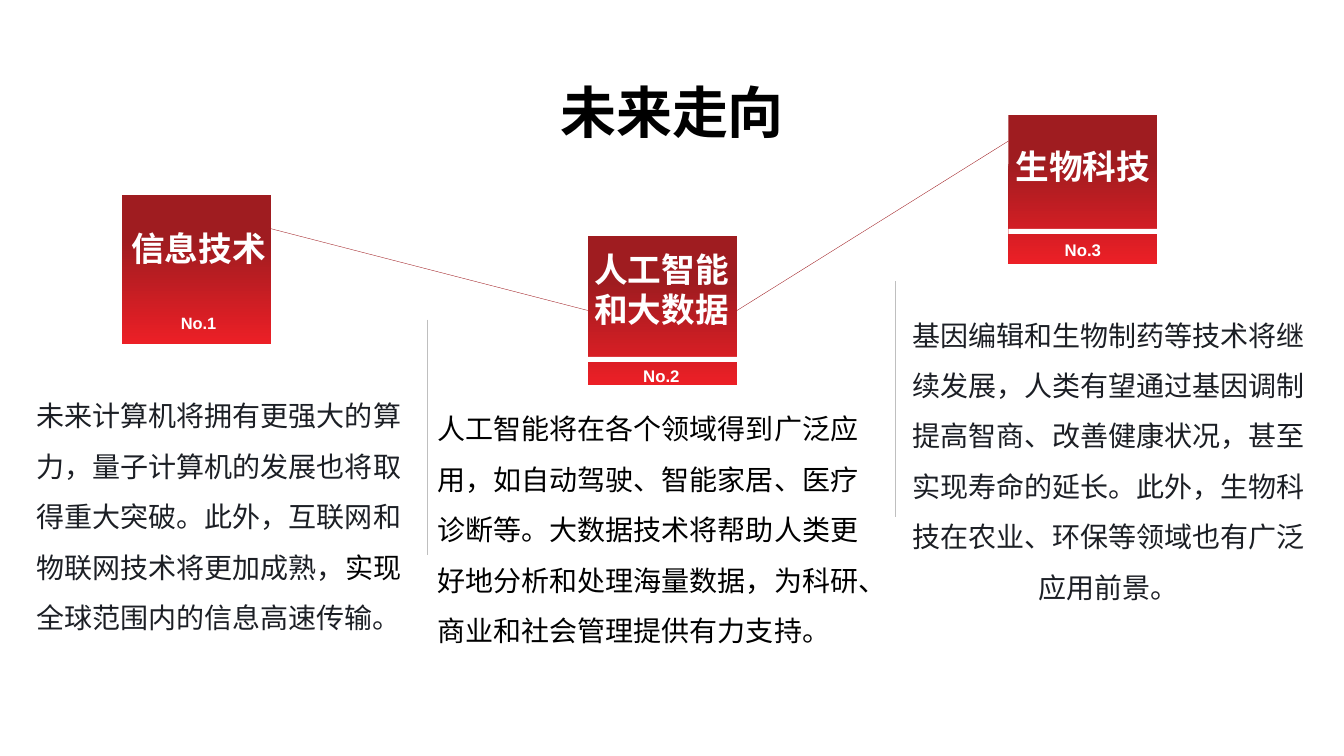
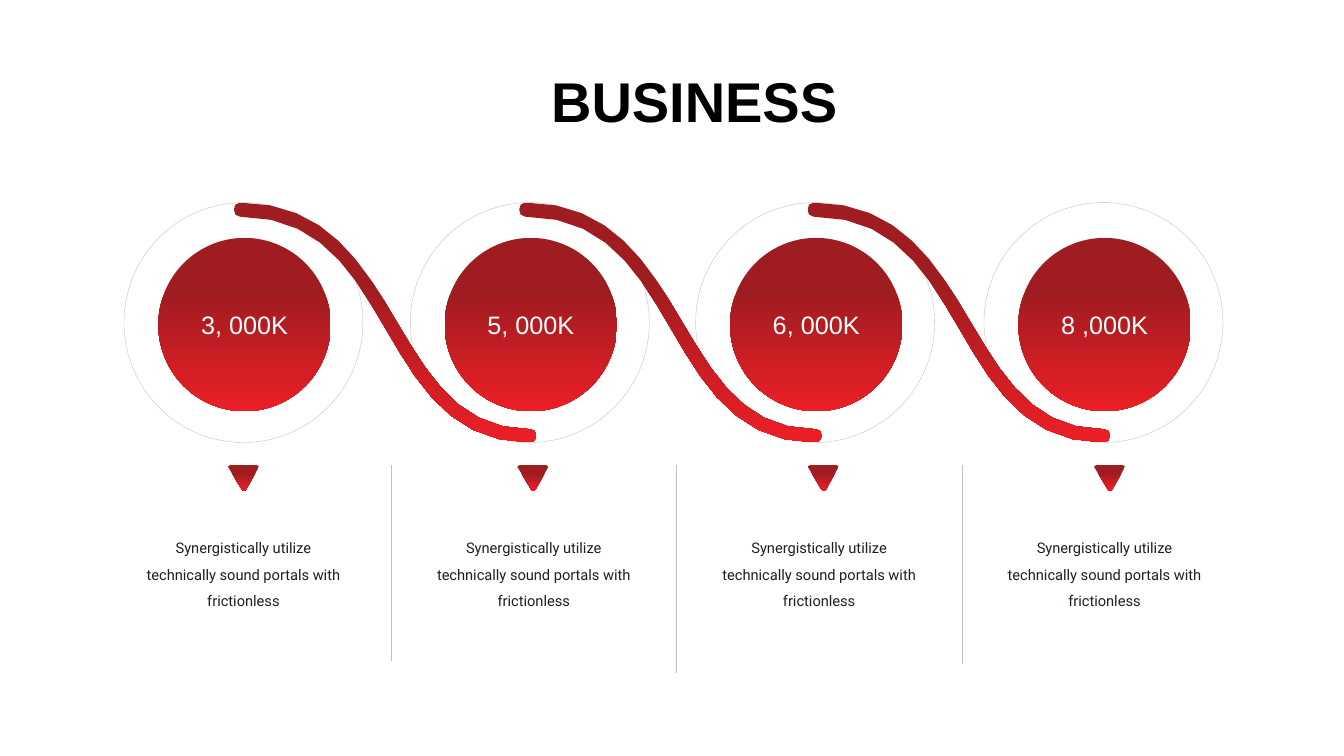
import math

import pptx
import pptx.dml.color
import pptx.enum.shapes
import pptx.enum.text
import pptx.oxml
import pptx.oxml.ns
import pptx.util

Inches = pptx.util.Inches
Pt = pptx.util.Pt
SHAPE = pptx.enum.shapes.MSO_SHAPE
ALIGN = pptx.enum.text.PP_ALIGN
ANCHOR = pptx.enum.text.MSO_ANCHOR
AUTO = pptx.enum.text.MSO_AUTO_SIZE

DARK_RED, RED = "9F1C20", "EC1F26"
WHITE, BLACK, INK, GREY = "FFFFFF", "000000", "1C1F25", "BFBFBF"
HEAD, BODY = "Arial", "Roboto"


def rgb(value):
    return pptx.dml.color.RGBColor.from_string(value)


def write(tf, text, size=18, color=WHITE, font=HEAD, bold=False,
          align=ALIGN.CENTER, spacing=None):
    """Text is a string, one paragraph a line, or a list of (text, colour) runs."""
    if isinstance(text, str):
        paragraphs = [[(line, color)] for line in text.split("\n")]
    else:
        paragraphs = [text]
    for i, runs in enumerate(paragraphs):
        p = tf.add_paragraph() if i else tf.paragraphs[0]
        p.alignment = align
        if spacing:
            p.line_spacing = spacing
        for words, run_color in runs:
            r = p.add_run()
            r.text = words
            r.font.name = font
            r.font.size = Pt(size)
            r.font.bold = bold
            r.font.color.rgb = rgb(run_color)


def flatten(start, curves):
    """Points along a chain of cubic curves, more of them on longer curves."""
    points = [start]
    for b, c, d in curves:
        a = points[-1]
        steps = max(2, round(4 * math.dist(a, d)))
        for i in range(1, steps + 1):
            t = i / steps
            u = 1 - t
            points.append(tuple(
                u**3 * a[k] + 3 * u * u * t * b[k] + 3 * u * t * t * c[k] + t**3 * d[k]
                for k in (0, 1)))
    return points


class Deck:
    def __init__(self):
        self.prs = pptx.Presentation()
        self.prs.slide_width = Inches(13.33)
        self.prs.slide_height = Inches(7.5)
        self.s = None

    def slide(self):
        self.s = self.prs.slides.add_slide(self.prs.slide_layouts[6])

    def red(self, sp):
        sp.fill.gradient()
        sp.fill.gradient_angle = 270
        for stop, position, color in zip(sp.fill.gradient_stops, (0.31, 1), (DARK_RED, RED)):
            stop.position = position
            stop.color.rgb = rgb(color)

    def shape(self, kind, x, y, w, h, fill=None, line=None):
        """A preset shape; without a fill or line colour it gets the red blend."""
        sp = self.s.shapes.add_shape(kind, Inches(x), Inches(y), Inches(w), Inches(h))
        sp.shadow.inherit = False
        if fill:
            sp.fill.solid()
            sp.fill.fore_color.rgb = rgb(fill)
        elif line:
            sp.fill.background()
        else:
            self.red(sp)
        if line:
            sp.line.color.rgb = rgb(line)
            sp.line.width = Pt(0.25)
        else:
            sp.line.fill.background()
        return sp

    def outline(self, x, y, points):
        points = [(Inches(x + px), Inches(y + py)) for px, py in points]
        builder = self.s.shapes.build_freeform(*points[0])
        builder.add_line_segments(points[1:], close=True)
        sp = builder.convert_to_shape()
        sp.shadow.inherit = False
        self.red(sp)
        sp.line.fill.background()

    def line(self, start, end, color, begin=None, finish=None):
        ends = [Inches(v) for v in (*start, *end)]
        cx = self.s.shapes.add_connector(pptx.enum.shapes.MSO_CONNECTOR.STRAIGHT, *ends)
        cx.line.color.rgb = rgb(color)
        cx.line.width = Pt(0.25)
        cx._element.spPr.append(
            pptx.oxml.parse_xml("<a:effectLst %s/>" % pptx.oxml.ns.nsdecls("a")))
        if begin:
            cx.begin_connect(*begin)
        if finish:
            cx.end_connect(*finish)

    def text(self, x, y, w, h, text, wrap=True, inset=True, grow=False,
             anchor=ANCHOR.TOP, **style):
        tf = self.s.shapes.add_textbox(Inches(x), Inches(y), Inches(w), Inches(h)).text_frame
        tf.word_wrap = wrap
        tf.vertical_anchor = anchor
        if grow:
            tf.auto_size = AUTO.SHAPE_TO_FIT_TEXT
        if not inset:
            tf.margin_left = tf.margin_top = tf.margin_right = tf.margin_bottom = 0
        write(tf, text, **style)

    def title(self, x, y, text):
        self.text(x, y, 3.59, 0.77, text, grow=True, size=40, color=BLACK, bold=True)

    def body(self, x, y, w, h, text, size=20, color=INK, **style):
        self.text(x, y, w, h, text, size=size, color=color, font=BODY, spacing=1.5, **style)

    def card(self, x, y, name, name_y, number, number_y, size=12, gap_y=None, shift=0):
        """A red square; its name box is wider than the square so that it never breaks."""
        side, extra = 1.48, 0.25
        sp = self.shape(SHAPE.RECTANGLE, x, y, side, side)
        if gap_y:
            self.shape(SHAPE.RECTANGLE, x, gap_y, side, 0.05, fill=WHITE)
        x += shift
        self.text(x - extra, name_y, side + 2 * extra, 0.58, name, wrap=False,
                  size=24, bold=True)
        self.text(x, number_y, side, 0.29, number, wrap=False, anchor=ANCHOR.MIDDLE,
                  size=size, bold=True)
        return sp


def future_slide(deck):
    deck.slide()
    # Numbered cards and the lines between them
    deck.card(1.21, 1.93, "信息技术", 2.21, "No.1", 3.06, size=11.7, shift=0.02)
    middle = deck.card(5.83, 2.34, "人工智能\n和大数据", 2.42, "No.2", 3.58,
                       gap_y=3.54, shift=-0.01)
    deck.card(10, 1.14, "生物科技", 1.4, "No.3", 2.33, gap_y=2.27)
    deck.line((2.69, 2.27), (5.83, 3.08), DARK_RED, finish=(middle, 1))
    deck.line((7.31, 3.08), (10, 1.4), DARK_RED, begin=(middle, 3))
    # Column dividers
    for x, y in ((4.24, 3.17), (8.88, 2.79)):
        deck.line((x, y), (x, y + 2.34), GREY)
    deck.title(4.87, 0.72, "未来走向")
    # Column text
    deck.body(0.23, 3.79, 3.88, 2.88, [
        ("未来计算机将拥有更强大的算力，量子计算机的发展也将取得重大突破。"
         "此外，互联网和物联网技术将更加成熟，", INK),
        ("实现", BLACK),
        ("全球范围内的信息高速传输。", INK)], inset=False)
    deck.body(9, 2.99, 3.99, 3.06,
              "基因编辑和生物制药等技术将继续发展，人类有望通过基因调制提高智商、"
              "改善健康状况，甚至实现寿命的延长。此外，生物科技在农业、环保等领域"
              "也有广泛应用前景。", inset=False)
    deck.body(4.24, 3.87, 4.6, 2.8,
              "人工智能将在各个领域得到广泛应用，如自动驾驶、智能家居、医疗诊断等。"
              "大数据技术将帮助人类更好地分析和处理海量数据，为科研、商业和社会管理"
              "提供有力支持。", color=BLACK, align=ALIGN.LEFT)


# Outlines, measured from their top left corner
POINTER = [(0.03, 0), (0.28, 0), (0.31, 0.02), (0.18, 0.25), (0.16, 0.26),
           (0.14, 0.25), (0, 0.02)]
RIBBON = flatten((2.94, 2.38), [
    [(2.16, 2.38), (1.83, 1.81), (1.51, 1.26)],
    [(1.17, 0.68), (0.85, 0.14), (0.06, 0.14)],
    [(0.02, 0.14), (0, 0.11), (0, 0.07)],
    [(0, 0.03), (0.02, 0), (0.06, 0)],
    [(0.92, 0), (1.28, 0.61), (1.62, 1.19)],
    [(1.94, 1.73), (2.24, 2.25), (2.94, 2.25)],
    [(2.97, 2.25), (3, 2.27), (3, 2.31)],
    [(3, 2.35), (2.97, 2.38), (2.94, 2.38)]])[:-1]


def business_slide(deck):
    deck.slide()
    top = 2.01
    for x in (2.26, 5.13, 8.01, 10.85):
        deck.outline(x, 4.61, POINTER)
    # Rings with their values
    rings = ((1.23, "3, 000K"), (4.07, "5, 000K"), (6.9, "6, 000K"), (9.76, "8 ,000K"))
    for x, value in rings:
        deck.shape(SHAPE.OVAL, x, top, 2.37, 2.38, line=GREY)
        sp = deck.shape(SHAPE.OVAL, x + 0.34, top + 0.35, 1.71, 1.72)
        sp.text_frame.vertical_anchor = ANCHOR.MIDDLE
        write(sp.text_frame, value)
    # Ribbons from ring to ring, and dividers below
    for i, (x, bottom) in enumerate(((2.32, 6.56), (5.15, 6.68), (8.01, 6.59))):
        deck.outline(x, top, RIBBON)
        divider = 3.88 + i * 2.83
        deck.line((divider, 4.61), (divider, bottom), GREY)
    deck.title(5.09, 0.61, "BUSINESS")
    # Captions
    for x in (1.43, 4.31, 7.14, 9.97):
        deck.body(x, 5.26, 1.97, 0.69,
                  "Synergistically utilize technically sound portals with frictionless",
                  size=10.5, inset=False, grow=True)


def main():
    deck = Deck()
    future_slide(deck)
    business_slide(deck)
    deck.prs.save("out.pptx")


if __name__ == "__main__":
    main()
